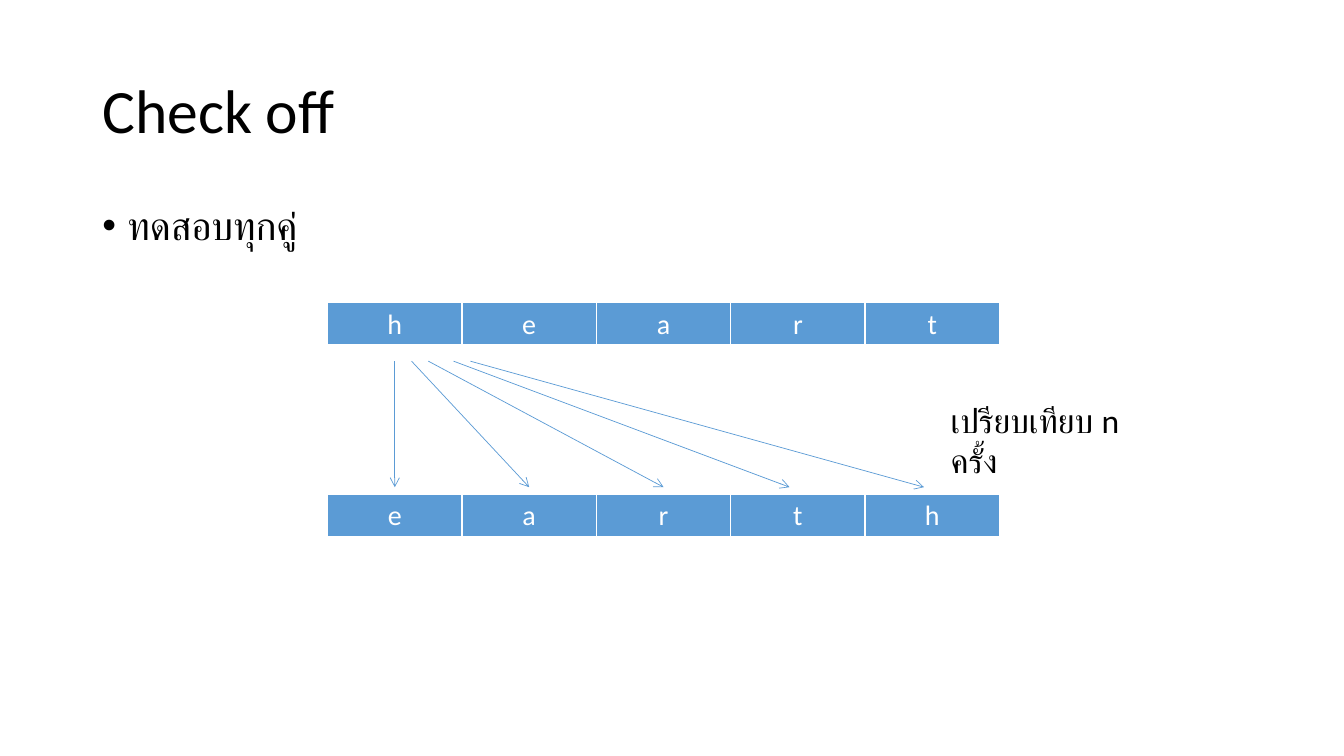
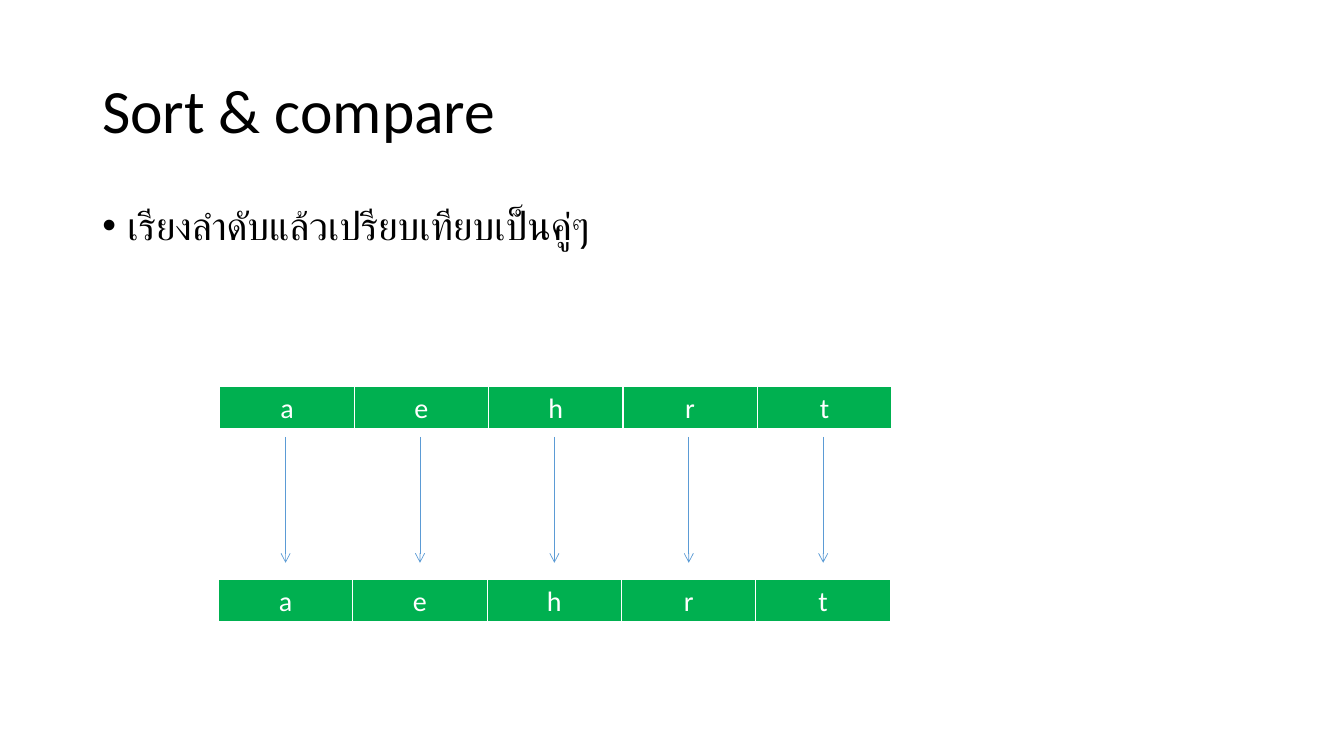
from lxml import etree
from pptx import Presentation
from pptx.dml.color import RGBColor
from pptx.enum.shapes import MSO_CONNECTOR as CONN
from pptx.enum.text import MSO_ANCHOR as ANCHOR, PP_ALIGN as ALIGN
from pptx.oxml.ns import qn
from pptx.util import Pt

# Shared style
FONT = "Calibri"
BLACK, WHITE, BLUE, GREEN = "000000", "FFFFFF", "5B9BD5", "00B050"
COL_W, ROW_H = 96, 31
TITLE_BOX = (66, 29, 828, 104)
BODY_BOX = (66, 144, 828, 343)
BORDERS = {"a:lnL": 1, "a:lnR": 1, "a:lnT": 1, "a:lnB": 3}

# Content: words are (letters, left, top); arrows run from one x to another
SLIDES = [
    {
        "title": "Check off",
        "bullet": "ทดสอบทุกคู่",
        "fill": BLUE,
        "words": [("heart", 234, 216), ("earth", 234, 353)],
        "arrows": list(zip((282, 294, 306, 324, 336),
                           (282, 378, 474, 564, 660))),
        "arrow_span": (258, 348),
        "note": ("เปรียบเทียบ n ครั้ง", (672, 282, 142, 36)),
    },
    {
        "title": "Sort & compare",
        "bullet": "เรียงลำดับแล้วเปรียบเทียบเป็นคู่ๆ",
        "fill": GREEN,
        "words": [("aehrt", 157, 276), ("aehrt", 156, 414)],
        "arrows": [(204 + i * COL_W,) * 2 for i in range(5)],
        "arrow_span": (312, 402),
    },
]


def rgb(color):
    return RGBColor.from_string(color)


def add_xml(parent, tag, **attrs):
    return etree.SubElement(parent, qn(tag), attrs)


def write(p, text, size, color=BLACK, **para_format):
    for name, value in para_format.items():
        setattr(p, name, value)
    r = p.add_run()
    r.text = text
    for name, value in {"name": FONT, "size": Pt(size), "bold": False}.items():
        setattr(r.font, name, value)
    r.font.color.rgb = rgb(color)


def add_text(s, box, text, size, anchor=ANCHOR.TOP, **para_format):
    tf = s.shapes.add_textbox(*map(Pt, box)).text_frame
    tf.word_wrap = True
    tf.vertical_anchor = anchor
    p = tf.paragraphs[0]
    write(p, text, size, **para_format)
    return p


def add_bullet(p):
    pPr = p._p.get_or_add_pPr()
    pPr.set("marL", str(Pt(18)))
    pPr.set("indent", str(Pt(-18)))
    add_xml(pPr, "a:buFont", typeface="Arial")
    add_xml(pPr, "a:buChar", char="•")


def add_word(s, letters, left, top, fill):
    n = len(letters)
    box = map(Pt, (left, top, n * COL_W, ROW_H))
    table = s.shapes.add_table(1, n, *box).table
    table.first_row = table.horz_banding = False
    for i, letter in enumerate(letters):
        table.columns[i].width = Pt(COL_W)
        cell = table.cell(0, i)
        write(cell.text_frame.paragraphs[0], letter, 20, WHITE,
              alignment=ALIGN.CENTER)
        # Borders come before the fill in the cell properties
        tcPr = cell._tc.get_or_add_tcPr()
        for tag, width in BORDERS.items():
            ln = add_xml(tcPr, tag, w=str(Pt(width)))
            add_xml(add_xml(ln, "a:solidFill"), "a:srgbClr", val=WHITE)
        cell.fill.solid()
        cell.fill.fore_color.rgb = rgb(fill)


def add_arrow(s, x1, y1, x2, y2):
    sp = s.shapes.add_connector(CONN.STRAIGHT, *map(Pt, (x1, y1, x2, y2)))
    sp.line.color.rgb = rgb(BLUE)
    sp.line.width = Pt(0.5)
    add_xml(sp.line._get_or_add_ln(), "a:tailEnd", type="arrow")
    add_xml(sp._element.spPr, "a:effectLst")


def build_slide(prs, data):
    s = prs.slides.add_slide(prs.slide_layouts[6])
    # Title and bullet
    add_text(s, TITLE_BOX, data["title"], 44, ANCHOR.MIDDLE, line_spacing=0.9)
    add_bullet(add_text(s, BODY_BOX, data["bullet"], 28,
                        line_spacing=0.9, space_before=Pt(10)))
    # Letter rows and the comparisons between them
    for word in data["words"]:
        add_word(s, *word, data["fill"])
    y1, y2 = data["arrow_span"]
    for x1, x2 in data["arrows"]:
        add_arrow(s, x1, y1, x2, y2)
    if "note" in data:
        text, box = data["note"]
        add_text(s, box, text, 24)


def main():
    prs = Presentation()
    prs.slide_width, prs.slide_height = Pt(960), Pt(540)
    for data in SLIDES:
        build_slide(prs, data)
    prs.save("out.pptx")


if __name__ == "__main__":
    main()
